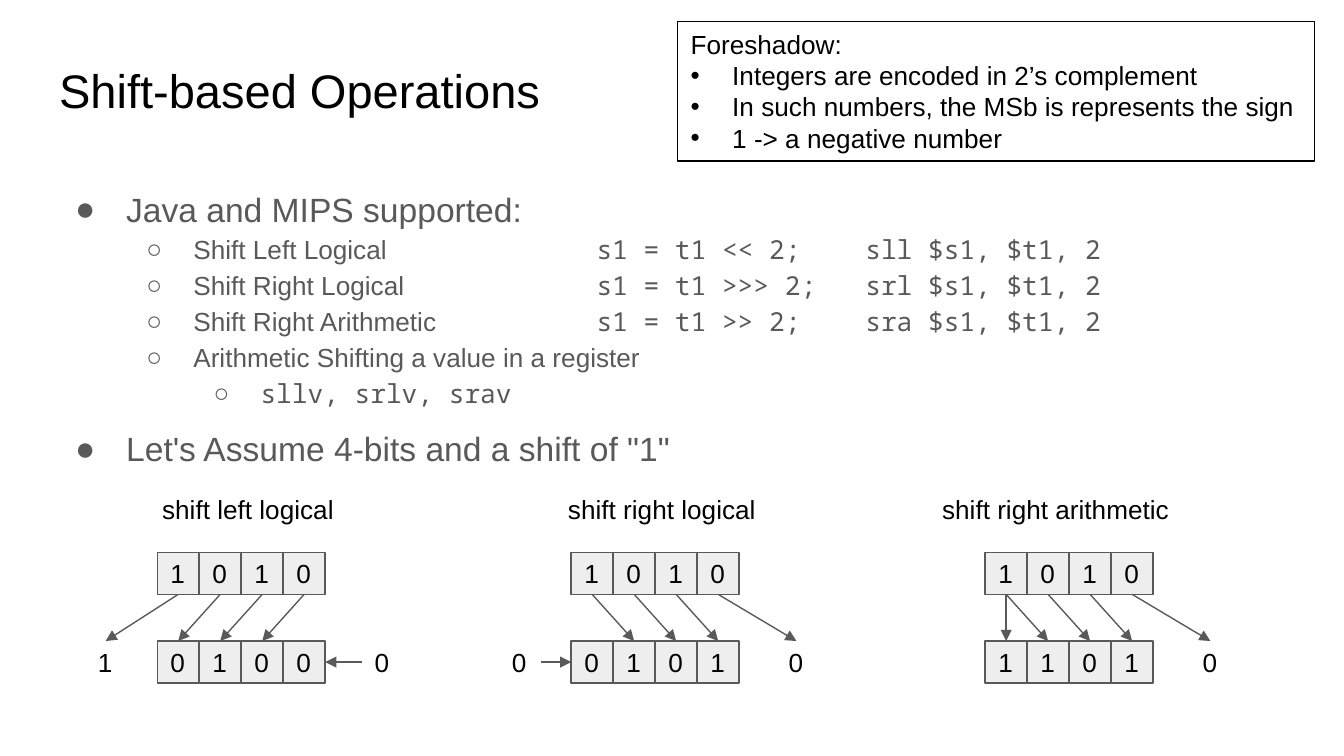
from lxml import etree
from pptx import Presentation
from pptx.dml.color import RGBColor
from pptx.enum.shapes import MSO_CONNECTOR, MSO_SHAPE
from pptx.enum.text import MSO_ANCHOR, MSO_AUTO_SIZE, PP_ALIGN
from pptx.oxml.ns import qn
from pptx.util import Inches, Pt

RECTANGLE = MSO_SHAPE.RECTANGLE
STRAIGHT = MSO_CONNECTOR.STRAIGHT
TOP, MIDDLE = MSO_ANCHOR.TOP, MSO_ANCHOR.MIDDLE
LEFT, CENTER = PP_ALIGN.LEFT, PP_ALIGN.CENTER
TOP_SITE, LEFT_SITE, BOTTOM_SITE, RIGHT_SITE = range(4)

BLACK = RGBColor(0x00, 0x00, 0x00)
GRAY = RGBColor(0x59, 0x59, 0x59)
CELL_FILL = RGBColor(0xEE, 0xEE, 0xEE)
SANS, MONO = "Arial", "Noto Sans Mono"

TITLE = "Shift-based Operations"
BODY = [
    (0, 18, 0, [("Java and MIPS supported:", SANS)]),
    (1, 14, 0, [("Shift Left Logical\t\t", SANS), ("s1 = t1 << 2;\tsll $s1, $t1, 2", MONO)]),
    (1, 14, 0, [("Shift Right Logical\t\t", SANS), ("s1 = t1 >>> 2;\tsrl $s1, $t1, 2", MONO)]),
    (1, 14, 0, [("Shift Right Arithmetic\t\t", SANS), ("s1 = t1 >> 2;\tsra $s1, $t1, 2", MONO)]),
    (1, 14, 0, [("Arithmetic Shifting a value in a register", SANS)]),
    (2, 14, 0, [("sllv, srlv, srav", MONO)]),
    (0, 18, 7, [("Let's Assume 4-bits and a shift of \"1\"", SANS)]),
]
BODY_BULLETS = [("●", 0.5, -0.38), ("○", 1, -0.35), ("○", 1.5, -0.35)]
NOTE_HEADING = "Foreshadow:"
NOTE_POINTS = [
    "Integers are encoded in 2’s complement",
    "In such numbers, the MSb is represents the sign",
    "1 -> a negative number",
]

BITS = "1010"
PANELS = [
    {"label": "shift left logical", "box": (-0.23, 1.81), "result": "0100",
     "left": "1", "right": "0", "step": -1, "fill": "right"},
    {"label": "shift right logical", "box": (-0.23, 1.81), "result": "0101",
     "left": "0", "right": "0", "step": 1, "fill": "left"},
    {"label": "shift right arithmetic", "box": (-0.56, 2.17), "result": "1101",
     "left": "", "right": "0", "step": 1, "fill": "sign"},
]
PANEL_LEFT, PANEL_PITCH = 1.17, 3.08
ROW_WIDTH = 1.25
CELL = ROW_WIDTH / len(BITS)
LABEL_TOP, BITS_TOP, RESULT_TOP = 3.57, 4.11, 4.77
LEFT_OFFSET, RIGHT_OFFSET = -0.54, 1.52


def set_insets(frame):
    frame.margin_left = frame.margin_right = Inches(0.1)
    frame.margin_top = frame.margin_bottom = Inches(0.1)


def set_font(paragraph, size, color, name=None):
    paragraph.font.size = Pt(size)
    paragraph.font.color.rgb = color
    if name:
        paragraph.font.name = name


def set_bullet(paragraph, character, margin, indent, color):
    properties = paragraph._p.get_or_add_pPr()
    properties.set("marL", str(Inches(margin)))
    properties.set("indent", str(Inches(indent)))
    properties.set("defTabSz", str(Inches(1)))
    bullet_color = etree.SubElement(properties, qn("a:buClr"))
    etree.SubElement(bullet_color, qn("a:srgbClr"), val=str(color))
    etree.SubElement(properties, qn("a:buFont"), typeface=SANS)
    etree.SubElement(properties, qn("a:buChar"), char=character)


def add_text(shapes, text, left, top, width, height, anchor, alignment):
    shape = shapes.add_textbox(Inches(left), Inches(top), Inches(width), Inches(height))
    write_text(shape, text, anchor, alignment)
    return shape


def write_text(shape, text, anchor, alignment):
    frame = shape.text_frame
    set_insets(frame)
    frame.word_wrap = True
    frame.vertical_anchor = anchor
    frame.text = text
    paragraph = frame.paragraphs[0]
    paragraph.alignment = alignment
    set_font(paragraph, 14, BLACK, SANS)


def add_bits(shapes, bits, left, top):
    group = shapes.add_group_shape()
    cells = []
    for index, bit in enumerate(bits):
        cell = group.shapes.add_shape(
            RECTANGLE, Inches(left + index * CELL), Inches(top), Inches(CELL), Inches(CELL))
        cell.shadow.inherit = False
        cell.fill.solid()
        cell.fill.fore_color.rgb = CELL_FILL
        cell.line.color.rgb = GRAY
        cell.line.width = Pt(0.75)
        write_text(cell, bit, MIDDLE, LEFT)
        cells.append(cell)
    return cells


def add_arrow(shapes, source, source_site, target, target_site):
    arrow = shapes.add_connector(STRAIGHT, 0, 0, 0, 0)
    arrow.begin_connect(source, source_site)
    arrow.end_connect(target, target_site)
    arrow.line.color.rgb = GRAY
    arrow.line.width = Pt(0.75)
    etree.SubElement(arrow.line._get_or_add_ln(), qn("a:tailEnd"), type="triangle")
    etree.SubElement(arrow._element.spPr, qn("a:effectLst"))


def add_panel(shapes, panel, left):
    offset, width = panel["box"]
    add_text(shapes, panel["label"], left + offset, LABEL_TOP, width, 0.44, TOP, CENTER)
    before = add_bits(shapes, BITS, left, BITS_TOP)
    after = add_bits(shapes, panel["result"], left, RESULT_TOP)
    slots = dict(enumerate(after))
    for slot, side, side_offset in ((-1, "left", LEFT_OFFSET), (len(BITS), "right", RIGHT_OFFSET)):
        if panel[side]:
            slots[slot] = add_text(
                shapes, panel[side], left + side_offset, RESULT_TOP, CELL, CELL, MIDDLE, LEFT)
    for index, cell in enumerate(before):
        add_arrow(shapes, cell, BOTTOM_SITE, slots[index + panel["step"]], TOP_SITE)
    if panel["fill"] == "right":
        add_arrow(shapes, slots[len(BITS)], LEFT_SITE, after[-1], RIGHT_SITE)
    elif panel["fill"] == "left":
        add_arrow(shapes, slots[-1], RIGHT_SITE, after[0], LEFT_SITE)
    else:
        add_arrow(shapes, before[0], BOTTOM_SITE, after[0], TOP_SITE)


def add_title(slide):
    title = slide.shapes.title
    title.left, title.top, title.width, title.height = map(Inches, (0.34, 0.36, 9.32, 0.63))
    frame = title.text_frame
    set_insets(frame)
    frame.auto_size = MSO_AUTO_SIZE.NONE
    frame.vertical_anchor = TOP
    frame.text = TITLE
    paragraph = frame.paragraphs[0]
    paragraph.alignment = LEFT
    set_font(paragraph, 25.2, BLACK, SANS)


def add_body(shapes):
    frame = shapes.add_textbox(*map(Inches, (0.34, 1.26, 9.32, 3.74))).text_frame
    set_insets(frame)
    frame.word_wrap = True
    for index, (level, size, space, runs) in enumerate(BODY):
        paragraph = frame.add_paragraph() if index else frame.paragraphs[0]
        paragraph.level = level
        paragraph.line_spacing = 1.15
        paragraph.space_before = Pt(space)
        set_bullet(paragraph, *BODY_BULLETS[level], GRAY)
        set_font(paragraph, size, GRAY)
        for text, font in runs:
            run = paragraph.add_run()
            run.text = text
            run.font.name = font


def add_note(shapes):
    note = shapes.add_textbox(*map(Inches, (5.04, 0.16, 4.74, 1.04)))
    note.line.color.rgb = BLACK
    note.line.width = Pt(0.75)
    frame = note.text_frame
    frame.word_wrap = False
    frame.text = "\n".join([NOTE_HEADING, *NOTE_POINTS])
    for paragraph in frame.paragraphs[1:]:
        set_bullet(paragraph, "•", 0.31, -0.31, BLACK)
    for paragraph in frame.paragraphs:
        set_font(paragraph, 14, BLACK, SANS)


def main():
    presentation = Presentation()
    presentation.slide_width = Inches(10)
    presentation.slide_height = presentation.slide_width * 9 // 16
    slide = presentation.slides.add_slide(presentation.slide_layouts[5])
    add_body(slide.shapes)
    add_title(slide)
    for index, panel in enumerate(PANELS):
        add_panel(slide.shapes, panel, PANEL_LEFT + index * PANEL_PITCH)
    add_note(slide.shapes)
    presentation.save("out.pptx")


if __name__ == "__main__":
    main()
